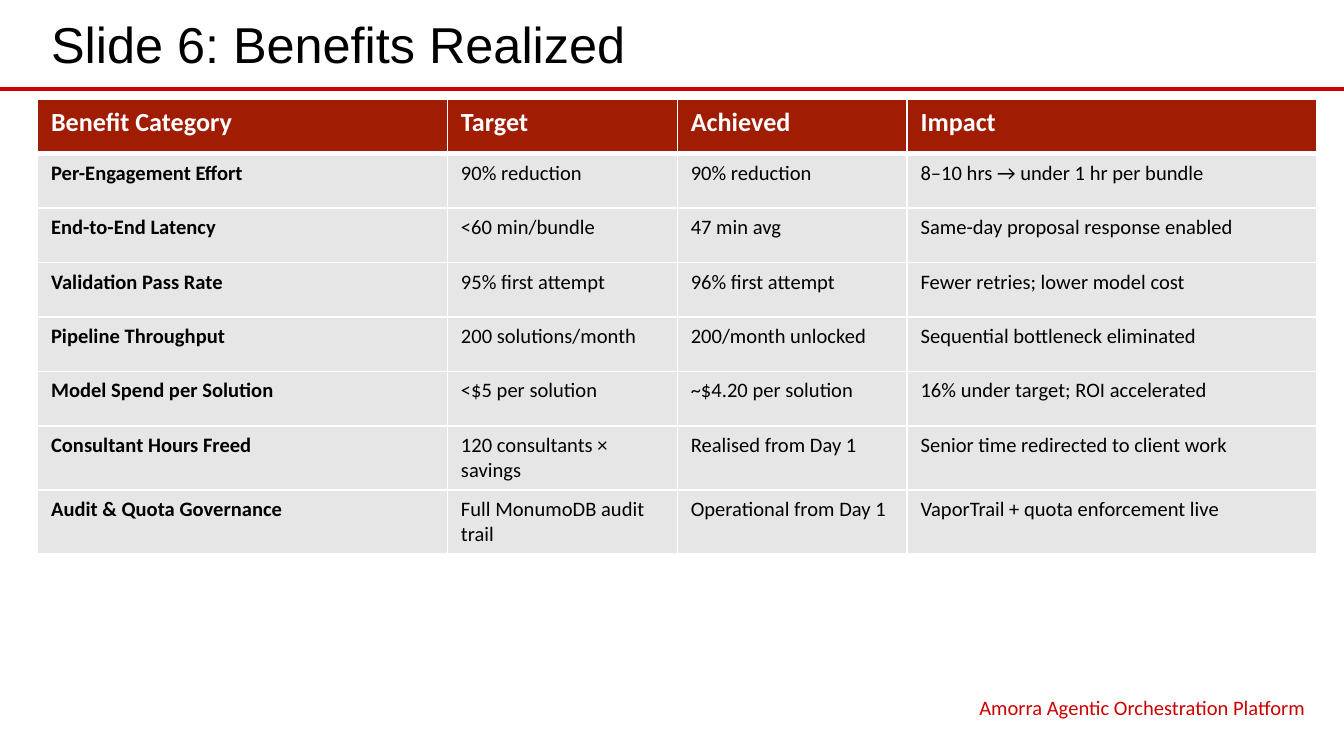
"""Build the benefits slide with its title, results table and footer."""
import pptx
import pptx.dml.color
import pptx.enum.shapes
import pptx.enum.text
import pptx.oxml
import pptx.oxml.ns
import pptx.util
from pptx.util import Inches

COLOURS = {
    "accent": "CC0000",
    "header": "A01C02",
    "row": "E7E6E6",
    "text": "000000",
    "white": "FFFFFF",
}
SLIDE_WIDTH = 10
COLUMN_WIDTHS = [3.05, 1.71, 1.71, 3.05]
BENEFITS = [
    ["Benefit Category", "Target", "Achieved", "Impact"],
    ["Per-Engagement Effort", "90% reduction", "90% reduction",
     "8–10 hrs → under 1 hr per bundle"],
    ["End-to-End Latency", "<60 min/bundle", "47 min avg",
     "Same-day proposal response enabled"],
    ["Validation Pass Rate", "95% first attempt", "96% first attempt",
     "Fewer retries; lower model cost"],
    ["Pipeline Throughput", "200 solutions/month", "200/month unlocked",
     "Sequential bottleneck eliminated"],
    ["Model Spend per Solution", "<$5 per solution", "~$4.20 per solution",
     "16% under target; ROI accelerated"],
    ["Consultant Hours Freed", "120 consultants × savings", "Realised from Day 1",
     "Senior time redirected to client work"],
    ["Audit & Quota Governance", "Full MonumoDB audit trail", "Operational from Day 1",
     "VaporTrail + quota enforcement live"],
]


def rgb(name):
    return pptx.dml.color.RGBColor.from_string(COLOURS[name])


def apply_format(target, values):
    for attribute, value in values.items():
        setattr(target, attribute, value)


def write_text(frame, text, size, colour, face="Calibri", bold=False, align="LEFT"):
    frame.text = text
    paragraph = frame.paragraphs[0]
    paragraph.alignment = getattr(pptx.enum.text.PP_ALIGN, align)
    font = paragraph.runs[0].font
    apply_format(font, {"name": face, "size": pptx.util.Pt(size), "bold": bold})
    font.color.rgb = rgb(colour)


def place(shape, left, top, width, height):
    apply_format(shape, {
        "left": Inches(left), "top": Inches(top),
        "width": Inches(width), "height": Inches(height),
    })
    apply_format(shape.text_frame, {
        "word_wrap": True,
        "auto_size": pptx.enum.text.MSO_AUTO_SIZE.NONE,
        "vertical_anchor": pptx.enum.text.MSO_ANCHOR.MIDDLE,
    })


def add_rule(slide, top):
    rule = slide.shapes.add_connector(
        pptx.enum.shapes.MSO_CONNECTOR.STRAIGHT,
        Inches(0), Inches(top), Inches(SLIDE_WIDTH), Inches(top))
    rule.line.color.rgb = rgb("accent")
    rule.line.width = pptx.util.Pt(2.25)
    properties = rule._element.spPr
    properties.append(pptx.oxml.parse_xml(
        f'<a:effectLst {pptx.oxml.ns.nsdecls("a")}/>'))


def set_borders(cell, top, bottom):
    properties = cell._tc.get_or_add_tcPr()
    for side, points in {"L": 1, "R": 1, "T": top, "B": bottom}.items():
        properties.append(pptx.oxml.parse_xml(
            f'<a:ln{side} {pptx.oxml.ns.nsdecls("a")} w="{pptx.util.Pt(points)}">'
            f'<a:solidFill><a:srgbClr val="{COLOURS["white"]}"/></a:solidFill>'
            f'</a:ln{side}>'))


def add_benefits_table(slide):
    benefits = slide.shapes.add_table(
        len(BENEFITS), len(COLUMN_WIDTHS),
        Inches(0.28), Inches(0.74), Inches(9.53), Inches(3.24)).table
    benefits.horz_banding = False
    for column, width in zip(benefits.columns, COLUMN_WIDTHS):
        column.width = Inches(width)
    for row, entries in enumerate(BENEFITS):
        is_header = row == 0
        for column, entry in enumerate(entries):
            cell = benefits.cell(row, column)
            set_borders(cell, top=3 if row == 1 else 1, bottom=3 if is_header else 1)
            cell.fill.solid()
            cell.fill.fore_color.rgb = rgb("header" if is_header else "row")
            write_text(cell.text_frame, entry, 14 if is_header else 11,
                       "white" if is_header else "text",
                       bold=is_header or column == 0)


def main():
    deck = pptx.Presentation()
    apply_format(deck, {
        "slide_width": Inches(SLIDE_WIDTH),
        "slide_height": Inches(SLIDE_WIDTH * 9 / 16),
    })
    slide = deck.slides.add_slide(deck.slide_layouts.get_by_name("Title Only"))

    add_rule(slide, 0.66)
    heading = slide.shapes.title
    place(heading, 0.28, 0.03, 9.53, 0.58)
    write_text(heading.text_frame, "Slide 6: Benefits Realized", 27, "text", face="Arial")
    add_benefits_table(slide)
    platform = slide.shapes.add_textbox(0, 0, 0, 0)
    place(platform, 6.29, 5.13, 3.52, 0.26)
    write_text(platform.text_frame, "Amorra Agentic Orchestration Platform", 11,
               "accent", align="RIGHT")

    deck.save("out.pptx")


if __name__ == "__main__":
    main()
